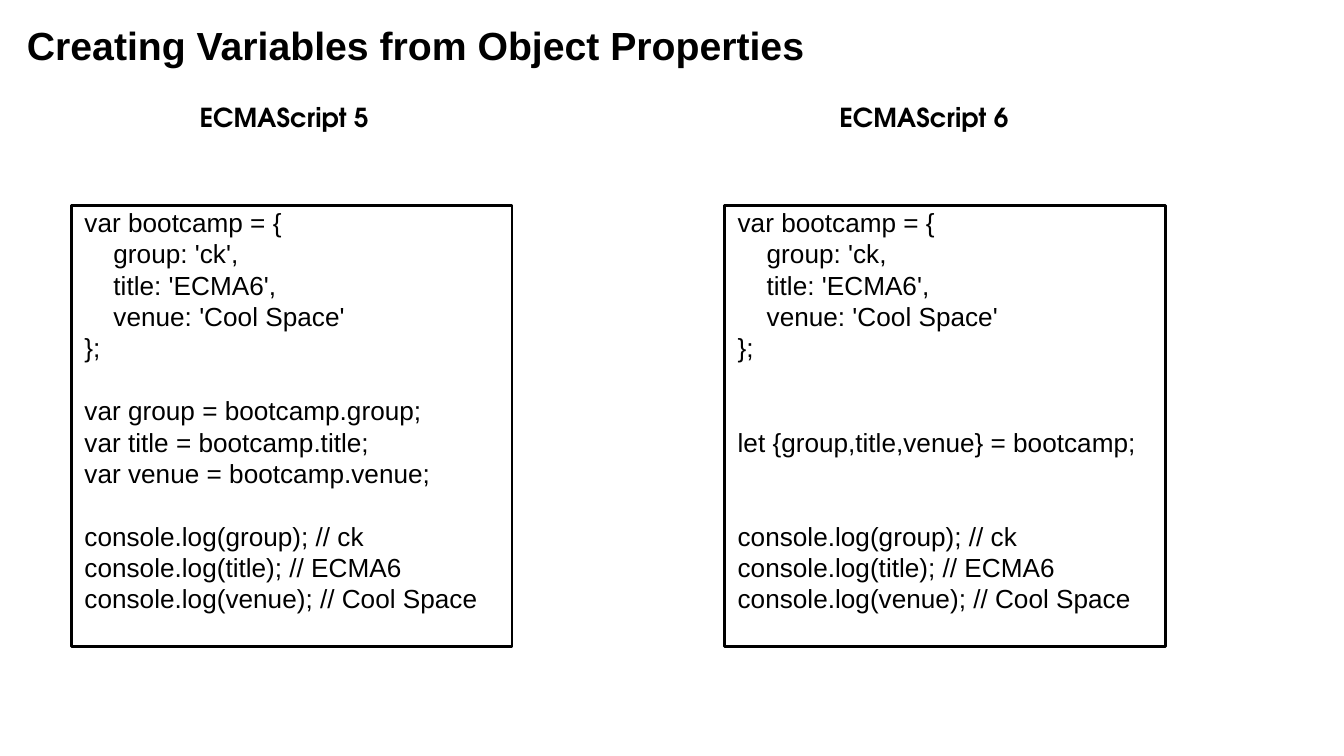
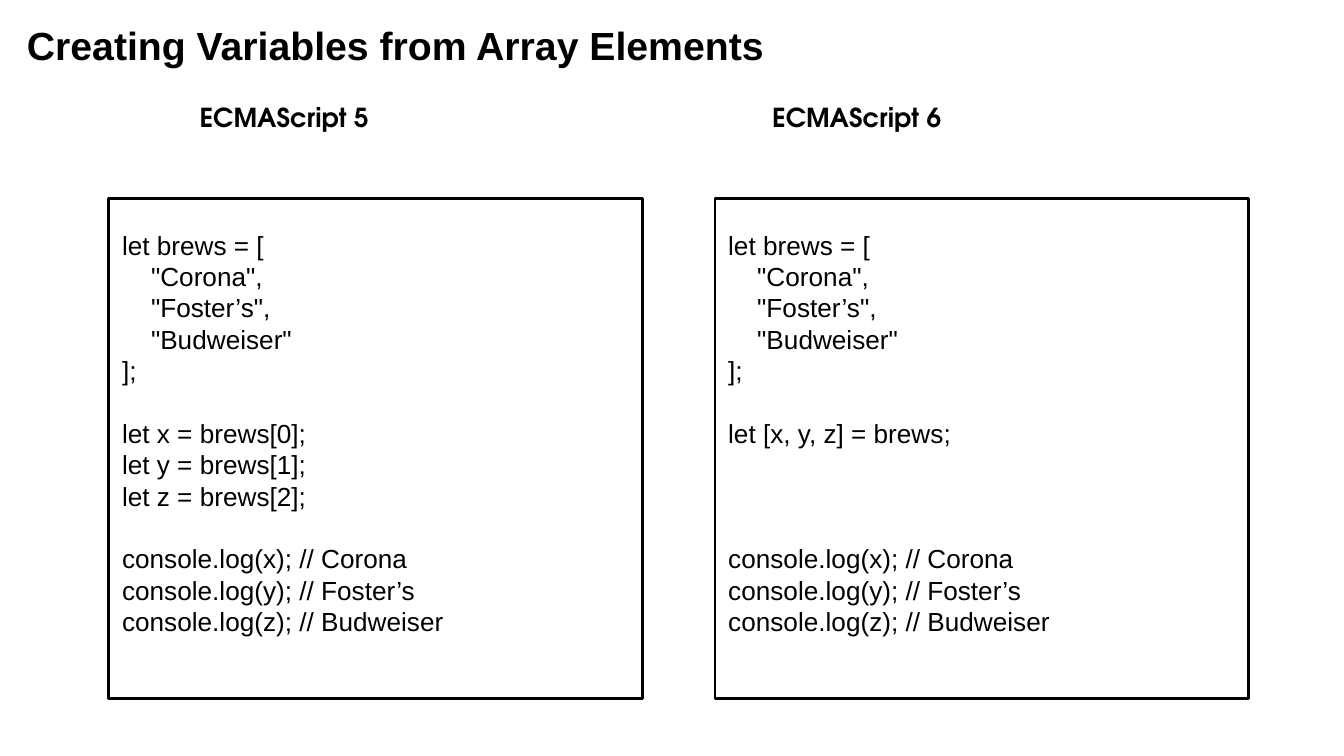
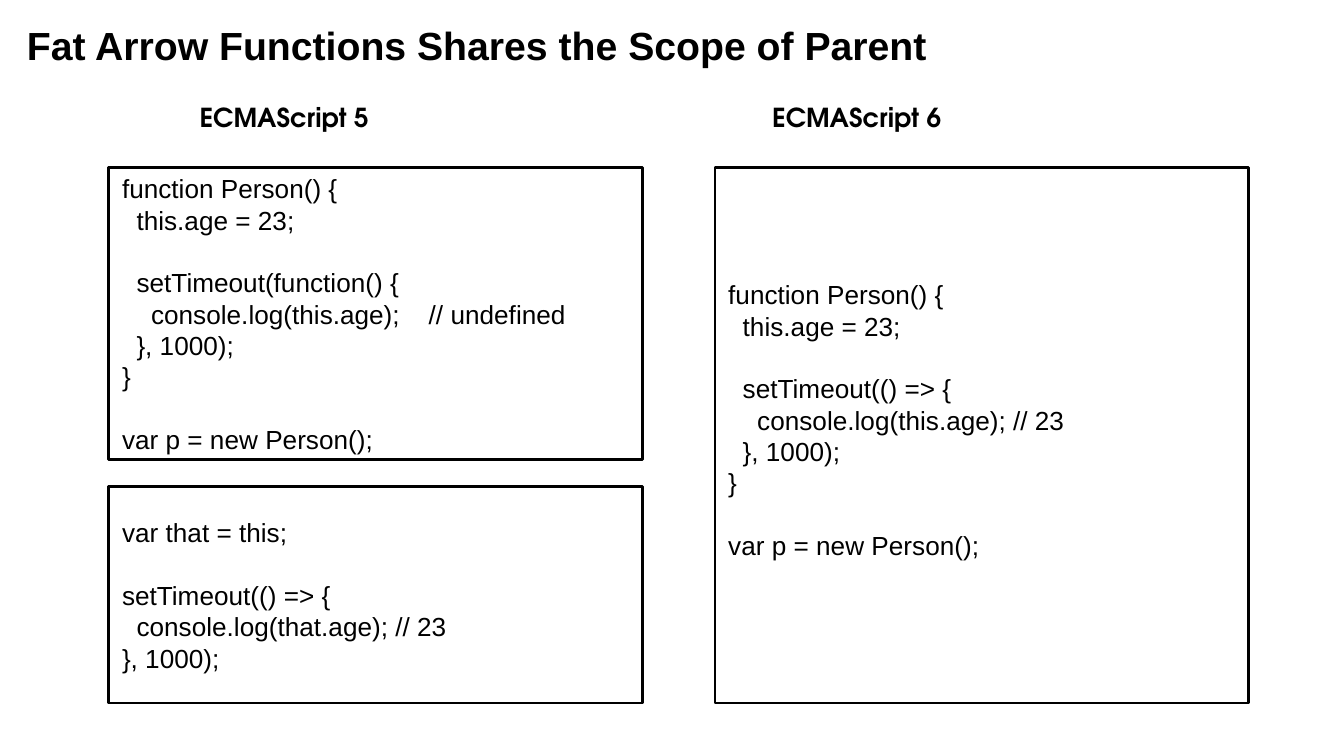
from pptx import Presentation
from pptx.dml.color import RGBColor
from pptx.enum.shapes import MSO_SHAPE as Preset
from pptx.enum.text import MSO_ANCHOR as Anchor, MSO_AUTO_SIZE as AutoSize, PP_ALIGN as Align
from pptx.util import Inches, Pt

COLORS = {"ink": "000000", "paper": "FFFFFF"}
WIDTH = Inches(10)
HEIGHT = WIDTH * 9 // 16
INSET = Inches(0.1)
CODE_LINE = Pt(16.8)

TITLE_FONT = {"name": "Arial", "size": Pt(21), "bold": True}
HEADING_FONT = {"name": "TeX Gyre Adventor", "size": Pt(14), "bold": True}
CODE_FONT = {"name": "Arial", "size": Pt(14), "bold": False}

HEADING_LEFT = 5.3
NARROW = {"lefts": (5.3, 53.9), "width": 32.8, "top": 27.2, "height": 58.3}
WIDE = {"lefts": (8.1, 53.2), "width": 39.7, "top": 26.3, "height": 66.1}
TALL = {**WIDE, "top": 22.2, "height": 70.8}
STACK_TOP_HEIGHT = 38.6
STACK_GAP = 3.6

BOOTCAMP = """var bootcamp = {
    group: %s,
    title: 'ECMA6',
    venue: 'Cool Space'
};
"""
BOOTCAMP_LOG = """
console.log(group); // ck
console.log(title); // ECMA6
console.log(venue); // Cool Space"""
BOOTCAMP_ES5 = BOOTCAMP % "'ck'" + """
var group = bootcamp.group;
var title = bootcamp.title;
var venue = bootcamp.venue;
""" + BOOTCAMP_LOG
BOOTCAMP_ES6 = BOOTCAMP % "'ck" + """

let {group,title,venue} = bootcamp;

""" + BOOTCAMP_LOG

BREWS = """let brews = [
    "Corona",
    "Foster’s",
    "Budweiser"
];

"""
BREWS_LOG = """
console.log(x); // Corona
console.log(y); // Foster’s
console.log(z); // Budweiser"""
BREWS_ES5 = BREWS + """let x = brews[0];
let y = brews[1];
let z = brews[2];
""" + BREWS_LOG
BREWS_ES6 = BREWS + """let [x, y, z] = brews;


""" + BREWS_LOG

PERSON = """function Person() {
  this.age = 23;

  setTimeout(%s {
    console.log(this.age);%s
  }, 1000);
}

var p = new Person();"""
PERSON_ES5 = PERSON % ("function()", "    // undefined")
PERSON_ES6 = PERSON % ("() =>", " // 23")
THAT_ES5 = """var that = this;

setTimeout(() => {
  console.log(that.age); // 23
}, 1000);"""


def area(left, top, width, height):
    return (int(WIDTH * left / 100), int(HEIGHT * top / 100),
            int(WIDTH * width / 100), int(HEIGHT * height / 100))


def set_values(target, values):
    for name, value in values.items():
        setattr(target, name, value)


def format_frame(frame, anchor):
    set_values(frame, {"word_wrap": True, "auto_size": AutoSize.NONE, "vertical_anchor": anchor,
                       "margin_left": INSET, "margin_right": INSET,
                       "margin_top": INSET, "margin_bottom": INSET})


def write(para, text, font, align):
    para.alignment = align
    span = para.add_run()
    span.text = text
    set_values(span.font, font)
    span.font.color.rgb = RGBColor.from_string(COLORS["ink"])


def add_page(deck, title, title_width):
    page = deck.slides.add_slide(deck.slide_layouts[5])
    page.background.fill.solid()
    page.background.fill.fore_color.rgb = RGBColor.from_string(COLORS["paper"])
    box = page.shapes.title
    box.left, box.top, box.width, box.height = area(1, 1.1, title_width, 11.2)
    format_frame(box.text_frame, Anchor.TOP)
    write(box.text_frame.paragraphs[0], title, TITLE_FONT, Align.LEFT)
    return page


def add_heading(page, text, left):
    box = page.shapes.add_textbox(*area(left, 12.1, 30.8, 6.6))
    format_frame(box.text_frame, Anchor.TOP)
    para = box.text_frame.paragraphs[0]
    para.line_spacing = 0.9
    properties = para._p.get_or_add_pPr()
    properties.set("marL", str(Inches(0.19)))
    properties.set("indent", str(-Inches(0.1)))
    write(para, text, HEADING_FONT, Align.CENTER)


def add_headings(page, second_left):
    add_heading(page, "ECMAScript 5", HEADING_LEFT)
    add_heading(page, "ECMAScript 6", second_left)


def add_code(page, code, place, spare_lines=1):
    box = page.shapes.add_shape(Preset.RECTANGLE, *area(*place))
    box.shadow.inherit = False
    box.fill.background()
    box.line.color.rgb = RGBColor.from_string(COLORS["ink"])
    box.line.width = Pt(1.5)
    frame = box.text_frame
    format_frame(frame, Anchor.MIDDLE)
    frame.margin_bottom = INSET + spare_lines * CODE_LINE
    para, gap = frame.paragraphs[0], 0
    for number, line in enumerate(code.split("\n")):
        if not line:
            gap += 1
            continue
        if number:
            para = frame.add_paragraph()
            para.space_before = gap * CODE_LINE
        write(para, line, CODE_FONT, Align.LEFT)
        gap = 0


def add_code_pair(page, codes, grid):
    for code, left in zip(codes, grid["lefts"]):
        add_code(page, code, (left, grid["top"], grid["width"], grid["height"]))


def add_code_stack(page, codes, grid):
    rest = grid["height"] - STACK_TOP_HEIGHT - STACK_GAP
    top = grid["top"]
    for code, height in zip(codes, (STACK_TOP_HEIGHT, rest)):
        add_code(page, code, (grid["lefts"][0], top, grid["width"], height), spare_lines=0)
        top += height + STACK_GAP


def main():
    deck = Presentation()
    deck.slide_width, deck.slide_height = WIDTH, HEIGHT

    page = add_page(deck, "Creating Variables from Object Properties", 93.2)
    add_headings(page, 52.9)
    add_code_pair(page, (BOOTCAMP_ES5, BOOTCAMP_ES6), NARROW)

    page = add_page(deck, "Creating Variables from Array Elements", 93.2)
    add_headings(page, 47.9)
    add_code_pair(page, (BREWS_ES5, BREWS_ES6), WIDE)

    page = add_page(deck, "Fat Arrow Functions Shares the Scope of Parent", 85.8)
    add_headings(page, 47.9)
    add_code_stack(page, (PERSON_ES5, THAT_ES5), TALL)
    add_code(page, PERSON_ES6, (TALL["lefts"][1], TALL["top"], TALL["width"], TALL["height"]))

    deck.save("out.pptx")


if __name__ == "__main__":
    main()
